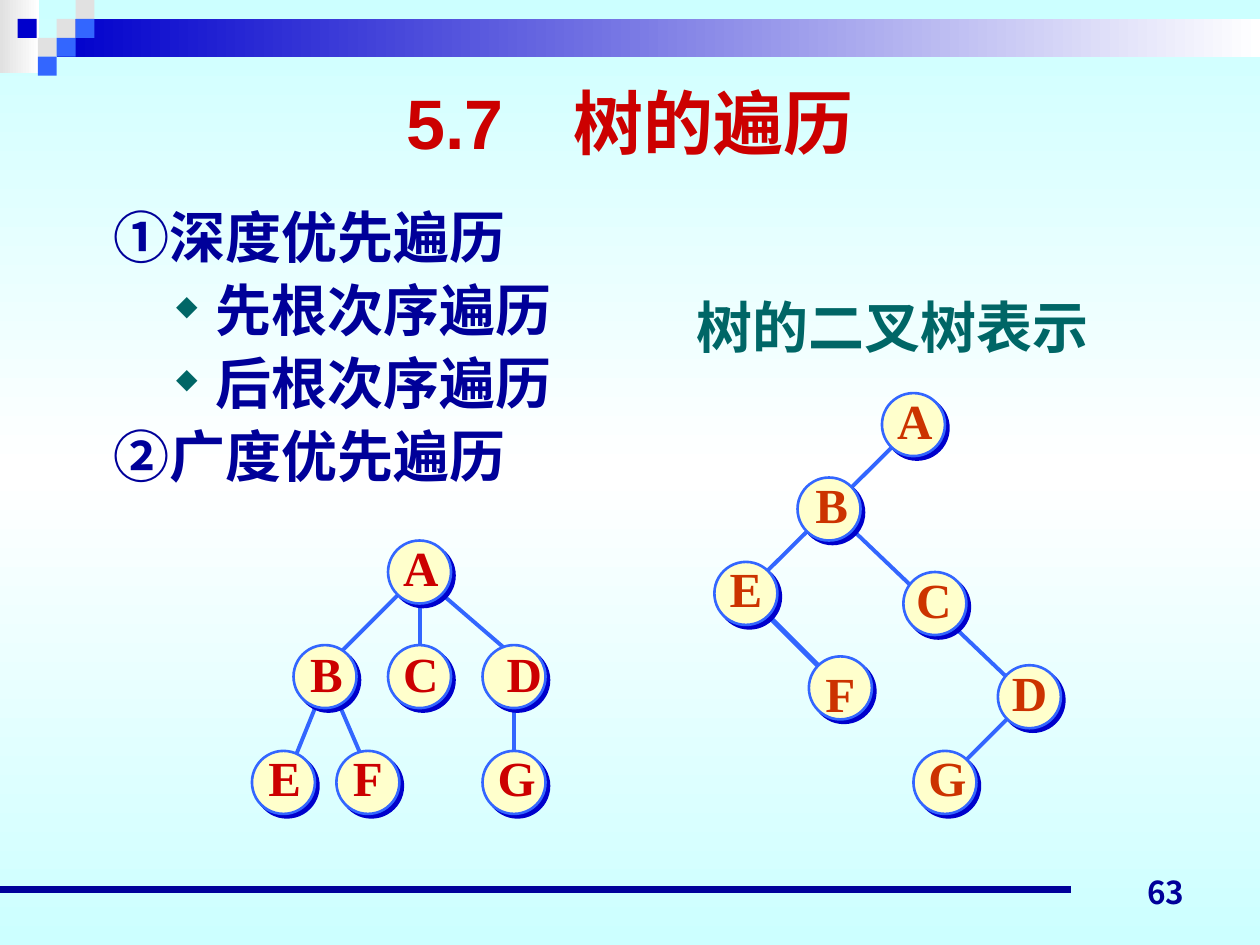
from copy import deepcopy

from lxml.etree import SubElement
from pptx import Presentation
from pptx.dml.color import RGBColor
from pptx.enum.shapes import MSO_CONNECTOR, MSO_SHAPE
from pptx.enum.text import MSO_ANCHOR, PP_ALIGN
from pptx.oxml.ns import qn
from pptx.util import Inches, Pt

WHITE = RGBColor(0xFF, 0xFF, 0xFF)
PALE_CYAN = RGBColor(0xCC, 0xFF, 0xFF)
GREY = RGBColor(0xE1, 0xE1, 0xE1)
DARK_BLUE = RGBColor(0x00, 0x00, 0xCC)
BLUE = RGBColor(0x33, 0x66, 0xFF)
NAVY = RGBColor(0x00, 0x00, 0x99)
TEAL = RGBColor(0x00, 0x66, 0x66)
RED = RGBColor(0xCC, 0x00, 0x00)
ORANGE = RGBColor(0xCC, 0x33, 0x00)
CREAM = RGBColor(0xFF, 0xFF, 0xCC)

CJK_FONT = "Noto Sans CJK JP"
SERIF = "Times New Roman"
SANS = "Arial"
SQUARE = 0.15
NODE = 0.5

# Squares of the corner mosaic: left, top, colour
MOSAIC = [
    (0.45, 0.15, GREY), (0.6, 0, GREY), (0.6, 0.15, BLUE), (0.3, 0.3, GREY),
    (0.14, 0.15, DARK_BLUE), (0.45, 0.3, BLUE), (0.3, 0.45, BLUE),
]

# Nodes: letter, left, top, label shift right, label shift down
GENERAL_NODES = [
    ("A", 3.08, 4.29, 0.01, -0.04), ("B", 2.33, 5.12, 0.01, -0.03),
    ("C", 3.08, 5.12, 0.01, -0.03), ("D", 3.83, 5.12, 0.08, -0.03),
    ("E", 2, 5.96, 0.01, -0.04), ("F", 2.67, 5.96, 0, -0.04),
    ("G", 3.83, 5.96, 0.01, -0.04),
]
BINARY_NODES = [
    ("A", 7, 3.12, 0.01, -0.04), ("B", 6.33, 3.79, 0.02, -0.04),
    ("C", 7.17, 4.54, -0.01, -0.04), ("D", 7.92, 5.28, 0, -0.04),
    ("E", 5.67, 4.46, 0, -0.04), ("F", 6.42, 5.21, 0, 0.04),
    ("G", 7.25, 5.96, 0.01, -0.04),
]

# Edges: start x, start y, end x, end y, width
GENERAL_EDGES = [
    (4.08, 5.54, 4.08, 6.04, 2.25), (2.67, 5.54, 2.92, 6.12, 2.25),
    (2.5, 5.62, 2.33, 6.04, 2.25), (3.5, 4.71, 4.08, 5.21, 2.25),
    (3.33, 4.79, 3.33, 5.21, 2.25), (3.17, 4.71, 2.67, 5.21, 2.25),
]
BINARY_EDGES = [
    (6, 4.79, 6.5, 5.29, 3), (8.08, 5.62, 7.58, 6.12, 2.25),
    (7.17, 3.46, 6, 4.62, 2.25), (6.75, 4.19, 8.08, 5.46, 2.25),
]


def set_gradient(fill, first, last, angle=0):
    fill.gradient()
    fill.gradient_angle = angle
    for stop, color in zip(fill.gradient_stops, (first, last)):
        stop.color.rgb = color


def add_background(slide):
    set_gradient(slide.background.fill, PALE_CYAN, WHITE, 270)
    # The third stop repeats the first one; white moves to the middle
    stops = slide.element.find(".//" + qn("a:gsLst"))
    end = deepcopy(stops[0])
    stops[1].set("pos", "50000")
    end.set("pos", "100000")
    stops.append(end)


def add_solid(slide, kind, left, top, width, height, color=None):
    shape = slide.shapes.add_shape(
        kind, Inches(left), Inches(top), Inches(width), Inches(height))
    shape.shadow.inherit = False
    shape.line.fill.background()
    if color is not None:
        shape.fill.solid()
        shape.fill.fore_color.rgb = color
    return shape


def add_line(slide, x1, y1, x2, y2, width, color=BLUE):
    line = slide.shapes.add_connector(
        MSO_CONNECTOR.STRAIGHT, Inches(x1), Inches(y1), Inches(x2), Inches(y2))
    line.line.color.rgb = color
    line.line.width = Pt(width)
    SubElement(line.element.spPr, qn("a:effectLst"))


def add_bullet(paragraph):
    properties = paragraph._p.get_or_add_pPr()
    properties.set("marL", str(Inches(0.81)))
    properties.set("indent", str(Inches(-0.31)))
    color = SubElement(properties, qn("a:buClr"))
    SubElement(color, qn("a:srgbClr")).set("val", str(TEAL))
    SubElement(properties, qn("a:buSzPct")).set("val", "50000")
    SubElement(properties, qn("a:buChar")).set("char", "◆")


def add_text(slide, text, left, top, width, height, *, size, color, font,
             align=PP_ALIGN.LEFT, anchor=MSO_ANCHOR.TOP, wrap=True,
             line_spacing=None, bulleted=()):
    box = slide.shapes.add_textbox(
        Inches(left), Inches(top), Inches(width), Inches(height))
    frame = box.text_frame
    frame.word_wrap = wrap
    frame.vertical_anchor = anchor
    frame.text = text
    for index, paragraph in enumerate(frame.paragraphs):
        paragraph.alignment = align
        if line_spacing:
            paragraph.line_spacing = Pt(line_spacing)
        if index in bulleted:
            paragraph.level = 1
            add_bullet(paragraph)
        for run in paragraph.runs:
            run.font.name = font
            run.font.size = Pt(size)
            run.font.bold = True
            run.font.color.rgb = color
            SubElement(run.font._element, qn("a:ea")).set("typeface", CJK_FONT)


def add_node(slide, letter, left, top, shift_x, shift_y, color):
    circle = add_solid(slide, MSO_SHAPE.OVAL, left, top, NODE, NODE, CREAM)
    circle.line.color.rgb = BLUE
    circle.line.width = Pt(1.5)
    effects = circle.element.spPr.find(qn("a:effectLst"))
    shadow = SubElement(effects, qn("a:outerShdw"), dist=str(Pt(2.83)),
                        dir="2700000", algn="ctr", rotWithShape="0")
    SubElement(shadow, qn("a:srgbClr")).set("val", str(DARK_BLUE))
    width, height = 0.48, 0.57
    add_text(slide, letter, left + (NODE - width) / 2 + shift_x,
             top + (NODE - height) / 2 + shift_y, width, height, size=28,
             color=color, font=SERIF, align=PP_ALIGN.CENTER,
             anchor=MSO_ANCHOR.MIDDLE, wrap=False)


def add_tree(slide, nodes, edges, color):
    for edge in edges:
        add_line(slide, *edge)
    for node in nodes:
        add_node(slide, *node, color)


def add_decoration(slide):
    corner = add_solid(slide, MSO_SHAPE.RECTANGLE, 0, 0, 0.31, 0.58)
    set_gradient(corner.fill, GREY, WHITE)
    band = add_solid(slide, MSO_SHAPE.RECTANGLE, 0.45, 0.15, 9.55, 0.3)
    set_gradient(band.fill, DARK_BLUE, WHITE)
    for left, top, color in MOSAIC:
        add_solid(slide, MSO_SHAPE.RECTANGLE, left, top, SQUARE, SQUARE, color)
    add_line(slide, 0, 7.06, 8.5, 7.06, 4.5, NAVY)


def main():
    presentation = Presentation()
    presentation.slide_width = Inches(10)
    presentation.slide_height = Inches(7.5)
    slide = presentation.slides.add_slide(presentation.slide_layouts[6])
    add_background(slide)
    add_decoration(slide)

    # Page number, heading and outline
    add_text(slide, "63", 7.17, 6.78, 2.33, 0.5, size=18, color=NAVY,
             font=CJK_FONT, align=PP_ALIGN.RIGHT, anchor=MSO_ANCHOR.BOTTOM)
    add_text(slide, "树的二叉树表示", 5.43, 2.25, 3.42, 0.63, size=32,
             color=TEAL, font=SERIF, line_spacing=40)
    add_text(slide, "5.7　树的遍历", 0.5, 0.5, 9, 0.93, size=40, color=RED,
             font=SANS, align=PP_ALIGN.CENTER, anchor=MSO_ANCHOR.MIDDLE)
    outline = ["①深度优先遍历", "先根次序遍历", "后根次序遍历", "②广度优先遍历"]
    add_text(slide, "\n".join(outline), 0.8, 1.51, 9, 2.6, size=32, color=NAVY,
             font=SANS, line_spacing=41.7, bulleted=(1, 2))

    # General tree and its binary form
    add_tree(slide, GENERAL_NODES, GENERAL_EDGES, RED)
    add_tree(slide, BINARY_NODES, BINARY_EDGES, ORANGE)
    presentation.save("out.pptx")


if __name__ == "__main__":
    main()
